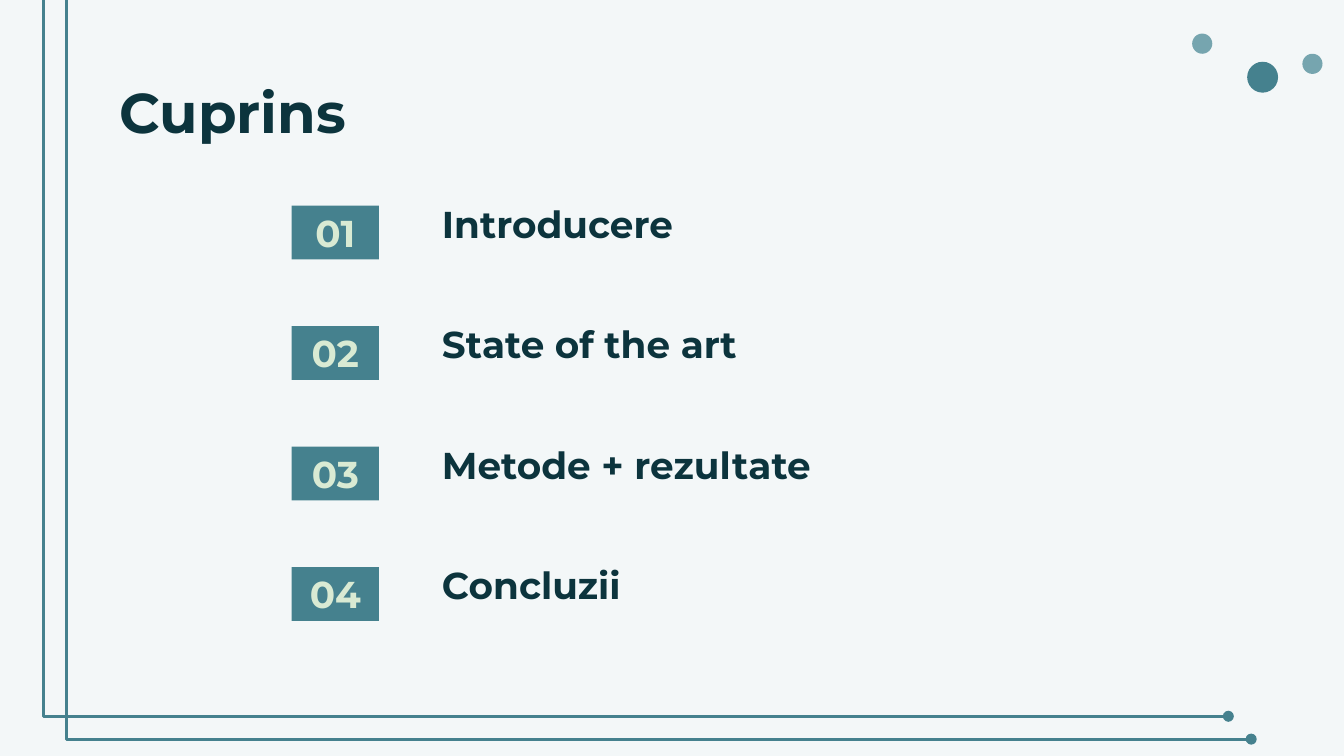
from dataclasses import dataclass

from lxml.etree import SubElement
from pptx import Presentation
from pptx.dml.color import RGBColor as RGB
from pptx.enum.shapes import MSO_CONNECTOR as CONN, MSO_SHAPE as SHAPE
from pptx.enum.text import MSO_ANCHOR as ANCHOR, PP_ALIGN as ALIGN
from pptx.oxml.ns import qn
from pptx.util import Inches, Pt


@dataclass(frozen=True)
class Theme:
    """Colours, font and type sizes of the deck."""
    bg: RGB = RGB.from_string("F3F7F8")
    teal: RGB = RGB.from_string("45818E")
    light_teal: RGB = RGB.from_string("76A5AF")
    ink: RGB = RGB.from_string("0C343D")
    number: RGB = RGB.from_string("D9EAD3")
    font: str = "Montserrat"
    title_size: int = 30
    item_size: int = 20
    line_width: float = 1.5


THEME = Theme()


def add_filled(slide, kind, box, color):
    """Add a preset shape with a flat fill and no outline."""
    sp = slide.shapes.add_shape(kind, *map(Inches, box))
    sp.shadow.inherit = False
    sp.fill.solid()
    sp.fill.fore_color.rgb = color
    sp.line.fill.background()
    return sp


def write(sp, text, size, color, anchor=ANCHOR.TOP, align=ALIGN.LEFT, spacing=None):
    """Write one bold paragraph into a shape."""
    tf = sp.text_frame
    tf.word_wrap = True
    tf.vertical_anchor = anchor
    tf.margin_left = tf.margin_right = tf.margin_top = tf.margin_bottom = Inches(0.1)
    p = tf.paragraphs[0]
    p.alignment = align
    if spacing:
        p.line_spacing = spacing
    r = p.add_run()
    r.text = text
    r.font.name = THEME.font
    r.font.size = Pt(size)
    r.font.bold = True
    r.font.color.rgb = color


def add_dots(slide, left, top):
    """Place the three corner dots from the cluster's top left."""
    dots = [(0.41, 0.21, 0.23, THEME.teal),
            (0, 0, 0.15, THEME.light_teal),
            (0.82, 0.15, 0.15, THEME.light_teal)]
    for dx, dy, size, color in dots:
        add_filled(slide, SHAPE.OVAL, (left + dx, top + dy, size, size), color)


def add_frame_line(slide, left, top, width, height):
    """Draw an elbow line down the left and along the bottom, ending in a dot."""
    line = slide.shapes.add_connector(
        CONN.ELBOW, *map(Inches, (left, top, left + width, top + height)))
    line.line.color.rgb = THEME.teal
    line.line.width = Pt(THEME.line_width)
    sp_pr = line._element.spPr
    guides = sp_pr.find(qn("a:prstGeom")).find(qn("a:avLst"))
    SubElement(guides, qn("a:gd"), name="adj1", fmla="val -1000")
    SubElement(sp_pr.find(qn("a:ln")), qn("a:tailEnd"), type="oval")
    SubElement(sp_pr, qn("a:effectLst"))


def add_title(slide, text, box):
    """Place the slide title in its box."""
    write(slide.shapes.add_textbox(*map(Inches, box)), text,
          THEME.title_size, THEME.ink)


def add_contents(slide, items, left, top, width, height):
    """Spread numbered entries evenly over the box."""
    row_height, badge_width, text_left = 0.4, 0.65, 1.02
    pitch = (height - row_height) / (len(items) - 1)
    for i, item in enumerate(items):
        y = top + i * pitch
        badge = add_filled(slide, SHAPE.RECTANGLE,
                           (left, y, badge_width, row_height), THEME.teal)
        write(badge, f"{i + 1:02d}", THEME.item_size, THEME.number,
              ANCHOR.MIDDLE, ALIGN.CENTER)
        label = slide.shapes.add_textbox(
            *map(Inches, (left + text_left, y, width - text_left, row_height)))
        write(label, item, THEME.item_size, THEME.ink, ANCHOR.BOTTOM, spacing=1.15)


def build_contents_slide(prs):
    """Build the table of contents slide."""
    slide = prs.slides.add_slide(prs.slide_layouts[6])
    slide.background.fill.solid()
    slide.background.fill.fore_color.rgb = THEME.bg
    add_dots(slide, 8.87, 0.25)
    for shift in (0, 0.17):
        add_frame_line(slide, 0.41 + shift, -0.24 + shift, 8.73, 5.57)
    add_title(slide, "Cuprins", (0.79, 0.48, 8.43, 0.63))
    items = ["Introducere", "State of the art", "Metode + rezultate", "Concluzii"]
    add_contents(slide, items, 2.17, 1.53, 5.66, 3.09)


def main():
    """Create and save the presentation."""
    prs = Presentation()
    prs.slide_width = Inches(10)
    prs.slide_height = prs.slide_width * 9 // 16
    build_contents_slide(prs)
    prs.save("out.pptx")


if __name__ == "__main__":
    main()
